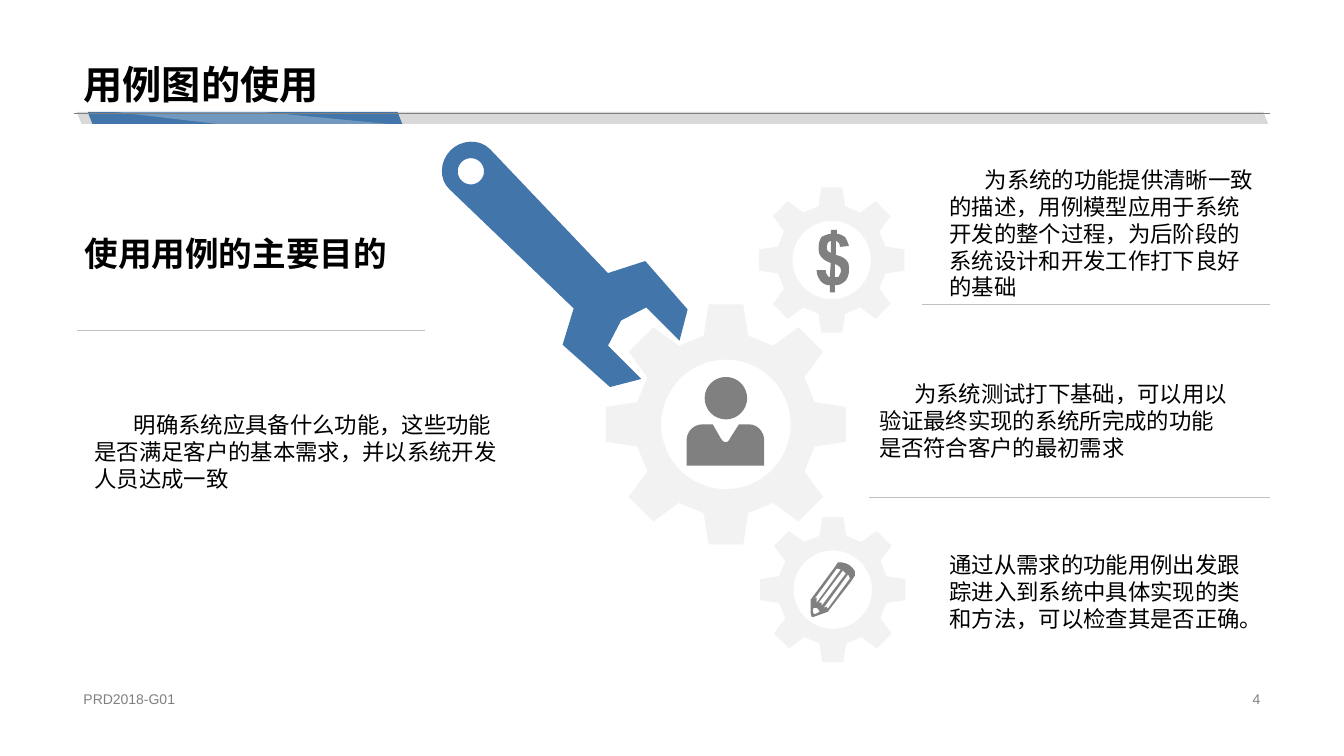
from math import cos, pi, sin

from pptx import Presentation
from pptx.dml.color import RGBColor
from pptx.enum.shapes import MSO_CONNECTOR, MSO_SHAPE
from pptx.enum.text import MSO_ANCHOR, MSO_AUTO_SIZE, PP_ALIGN
from pptx.oxml.ns import qn
from pptx.util import Inches, Pt
from lxml.etree import SubElement

COLORS = dict(text="000000", blue="4276AA", bar="D9D9D9", gear="F2F2F2",
              icon="808080", rule="BFBFBF", white="FFFFFF")
LEFT, RIGHT = 0.73, 12.6
BAR_TOP, BAR_H = 1.11, 0.12

TITLE = "用例图的使用"
BOTTOM, MIDDLE = MSO_ANCHOR.BOTTOM, MSO_ANCHOR.MIDDLE
BODY = dict(size=Pt(16), bold=False)
HEADING = dict(size=Pt(24), bold=True)
SMALL = dict(size=Pt(10), bold=False)

# text, (left, top, width, height), font, first-line indent
TEXTS = [
    ("使用用例的主要目的", (0.74, 2.28, 3.93, 0.48), HEADING, 0),
    ("为系统的功能提供清晰一致的描述，用例模型应用于系统开发的整个过程，"
     "为后阶段的系统设计和开发工作打下良好的基础", (9.32, 1.5, 3.27, 1.53), BODY, 0.35),
    ("为系统测试打下基础，可以用以验证最终实现的系统所完成的功能是否符合客户的最初需求",
     (8.62, 3.37, 3.74, 1.25), BODY, 0.35),
    ("通过从需求的功能用例出发跟踪进入到系统中具体实现的类和方法，可以检查其是否正确。",
     (9.32, 5.13, 3.18, 1.19), BODY, 0),
    ("明确系统应具备什么功能，这些功能是否满足客户的基本需求，并以系统开发人员达成一致",
     (0.84, 3.74, 4.23, 1.19), BODY, 0.39),
]
FOOTERS = [("PRD2018-G01", (LEFT, 6.82, 4.53, 0.23), PP_ALIGN.LEFT),
           ("4", (9.42, 6.82, 3.18, 0.23), PP_ALIGN.RIGHT)]
RULES = [(LEFT, RIGHT, 1.12, "icon"), (9.14, RIGHT, 3.02, "rule"),
         (8.62, RIGHT, 4.93, "rule"), (0.76, 4.22, 3.28, "rule")]
GEARS = [(8.26, 5.85, 0.72), (8.25, 2.58, 0.72), (7.2, 4.21, 1.19)]

# Outlines: a pair is a straight step, six numbers are a Bezier curve.
HIGHLIGHT = [(3.85, 1.23), (2.6, 1.11), (1.14, 1.11), (2.16, 1.23)]
WRENCH = [(6.36, 3.76), (6.05, 3.84), (5.58, 3.42), (5.69, 3.06), (4.46, 1.88),
          (4.35, 1.78, 4.36, 1.6, 4.47, 1.49), (4.57, 1.39, 4.75, 1.37, 4.86, 1.48),
          (6.03, 2.71), (6.4, 2.59), (6.82, 3.07), (6.74, 3.38), (6.41, 3.05),
          (6.16, 3.18), (6.03, 3.43)]
PERSON_BODY = [(6.97, 4.21), (7.07, 4.21), (7.15, 4.35),
               (7.18, 4.4, 7.22, 4.4, 7.24, 4.35), (7.33, 4.21), (7.43, 4.21),
               (7.51, 4.21, 7.58, 4.28, 7.58, 4.37), (7.58, 4.62), (6.81, 4.62),
               (6.81, 4.37), (6.81, 4.28, 6.88, 4.21, 6.97, 4.21)]
DOLLAR = [
    [(8.23, 2.75), (8.24, 2.61), (8.19, 2.59, 8.16, 2.57, 8.14, 2.54),
     (8.12, 2.52, 8.12, 2.49, 8.12, 2.45), (8.12, 2.41, 8.13, 2.38, 8.15, 2.35),
     (8.17, 2.34, 8.21, 2.32, 8.24, 2.32), (8.24, 2.28), (8.3, 2.28), (8.3, 2.32),
     (8.33, 2.32, 8.36, 2.34, 8.38, 2.35), (8.4, 2.38, 8.41, 2.41, 8.42, 2.44),
     (8.33, 2.45), (8.33, 2.42, 8.32, 2.4, 8.29, 2.39), (8.29, 2.53),
     (8.34, 2.54, 8.38, 2.56, 8.4, 2.59), (8.42, 2.61, 8.42, 2.64, 8.42, 2.68),
     (8.42, 2.72, 8.41, 2.75, 8.39, 2.78), (8.36, 2.81, 8.33, 2.83, 8.28, 2.83),
     (8.28, 2.9), (8.23, 2.9), (8.23, 2.83), (8.19, 2.83, 8.16, 2.81, 8.14, 2.79),
     (8.12, 2.76, 8.1, 2.73, 8.1, 2.68), (8.19, 2.68),
     (8.19, 2.69, 8.19, 2.71, 8.2, 2.72), (8.21, 2.74, 8.22, 2.75, 8.23, 2.75)],
    [(8.24, 2.39), (8.23, 2.39, 8.22, 2.4, 8.21, 2.41), (8.2, 2.45),
     (8.2, 2.46, 8.2, 2.47, 8.21, 2.49), (8.24, 2.51)],
    [(8.28, 2.75), (8.3, 2.75, 8.32, 2.75, 8.32, 2.74),
     (8.33, 2.72, 8.34, 2.71, 8.34, 2.69), (8.34, 2.68, 8.34, 2.66, 8.33, 2.65),
     (8.32, 2.64, 8.31, 2.63, 8.28, 2.62)],
]
PENCIL = [
    [(8.43, 5.61), (8.39, 5.59), (8.35, 5.58), (8.31, 5.58), (8.27, 5.64), (8.04, 5.95),
     (8.04, 6.08), (8.05, 6.12), (8.07, 6.12), (8.21, 6.07), (8.44, 5.77), (8.48, 5.71),
     (8.48, 5.67), (8.46, 5.64)],
    [(8.21, 6.04), (8.2, 6.02), (8.17, 6.03), (8.41, 5.7), (8.42, 5.71), (8.43, 5.74)],
    [(8.13, 6.07), (8.09, 6.09), (8.07, 6.09), (8.06, 6.06), (8.07, 6.03), (8.1, 6.03),
     (8.12, 6.05)],
    [(8.3, 5.64), (8.34, 5.65), (8.1, 5.98), (8.1, 5.93), (8.08, 5.94)],
    [(8.15, 6.01), (8.15, 5.98), (8.12, 5.98), (8.36, 5.66), (8.38, 5.68), (8.39, 5.69)],
]


def circle(cx, cy, r, steps=72):
    return [(cx + r * cos(2 * pi * i / steps), cy + r * sin(2 * pi * i / steps))
            for i in range(steps)]


def gear(cx, cy, r):
    """Eight equal teeth around a round hole."""
    tooth = [(-0.185, -0.74), (-0.145, -1), (0.145, -1), (0.185, -0.74)]
    rim = [(cx + r * (x * cos(a) - y * sin(a)), cy + r * (x * sin(a) + y * cos(a)))
           for a in (i * pi / 4 for i in range(8)) for x, y in tooth]
    return [rim, circle(cx, cy, 0.54 * r)]


def flatten(outline, steps=8):
    """Turn the Bezier steps of an outline into short straight ones."""
    pts = []
    for step in outline:
        if len(step) == 2:
            pts.append(step)
            continue
        ctrl = [pts[-1], step[:2], step[2:4], step[4:]]
        for t in (i / steps for i in range(1, steps + 1)):
            w = ((1 - t) ** 3, 3 * t * (1 - t) ** 2, 3 * t * t * (1 - t), t ** 3)
            pts.append(tuple(sum(k * c[axis] for k, c in zip(w, ctrl)) for axis in (0, 1)))
    return pts


def rgb(name):
    return RGBColor.from_string(COLORS[name])


def paint(sp, color):
    sp.shadow.inherit = False
    sp.fill.solid()
    sp.fill.fore_color.rgb = rgb(color)
    sp.line.fill.background()
    return sp


def draw(outlines, color):
    """One freeform; outlines after the first are holes or separate parts."""
    rings = [[(Inches(x), Inches(y)) for x, y in flatten(o)] for o in outlines]
    fb = s.shapes.build_freeform(*rings[0][0])
    for i, ring in enumerate(rings):
        if i:
            fb.move_to(*ring[0])
        fb.add_line_segments(ring[1:], close=True)
    return paint(fb.convert_to_shape(), color)


def write(sp, text, font, color="text", anchor=BOTTOM, align=PP_ALIGN.LEFT, indent=0,
          spacing=1.0):
    tf = sp.text_frame
    frame = dict(text=text, word_wrap=True, auto_size=MSO_AUTO_SIZE.NONE,
                 vertical_anchor=anchor)
    for name, value in frame.items():
        setattr(tf, name, value)
    p = tf.paragraphs[0]
    p.alignment, p.line_spacing = align, spacing
    if indent:
        p._p.get_or_add_pPr().set("indent", str(Inches(indent)))
    r = p.runs[0]
    for name, value in dict(font, name="Arial").items():
        setattr(r.font, name, value)
    r.font.color.rgb = rgb(color)


def add_text(box, *args, **kwargs):
    write(s.shapes.add_textbox(*map(Inches, box)), *args, **kwargs)


prs = Presentation()
prs.slide_width, prs.slide_height = Inches(13.33), Inches(7.5)
s = prs.slides.add_slide(prs.slide_layouts[5])

for left, width, skew, color in [(0.76, 11.82, 0.42, "bar"), (0.87, 3.12, 0.39, "blue")]:
    bar = s.shapes.add_shape(MSO_SHAPE.PARALLELOGRAM,
                             *map(Inches, (left, BAR_TOP, width, BAR_H)))
    bar.adjustments[0] = skew
    bar._element.spPr.xfrm.set("flipH", "1")
    paint(bar, color)
shine = draw([HIGHLIGHT], "white")
SubElement(shine._element.spPr.find(".//" + qn("a:srgbClr")), qn("a:alpha"), val="25000")

title = s.shapes.title
title.left, title.top, title.width, title.height = map(Inches, (LEFT, 0, RIGHT - LEFT, 1.12))
write(title, TITLE, dict(size=Pt(28), bold=True), spacing=0.9)

for text, box, align in FOOTERS:
    add_text(box, text, SMALL, "icon", MIDDLE, align)

for cx, cy, r in GEARS:
    draw(gear(cx, cy, r), "gear")
draw([circle(7.2, 3.95, 0.21), PERSON_BODY], "icon")
draw([WRENCH, circle(4.67, 1.7, 0.13)], "blue")
draw(DOLLAR, "icon")
draw(PENCIL, "icon")

for text, box, font, indent in TEXTS:
    add_text(box, text, font, indent=indent, spacing=0.9 if font is HEADING else 1.0)

for x1, x2, y, color in RULES:
    line = s.shapes.add_connector(MSO_CONNECTOR.STRAIGHT, *map(Inches, (x1, y, x2, y)))
    line.line.color.rgb = rgb(color)
    line.line.width = Pt(0.25)
    SubElement(line._element.spPr, qn("a:effectLst"))

prs.save("out.pptx")
